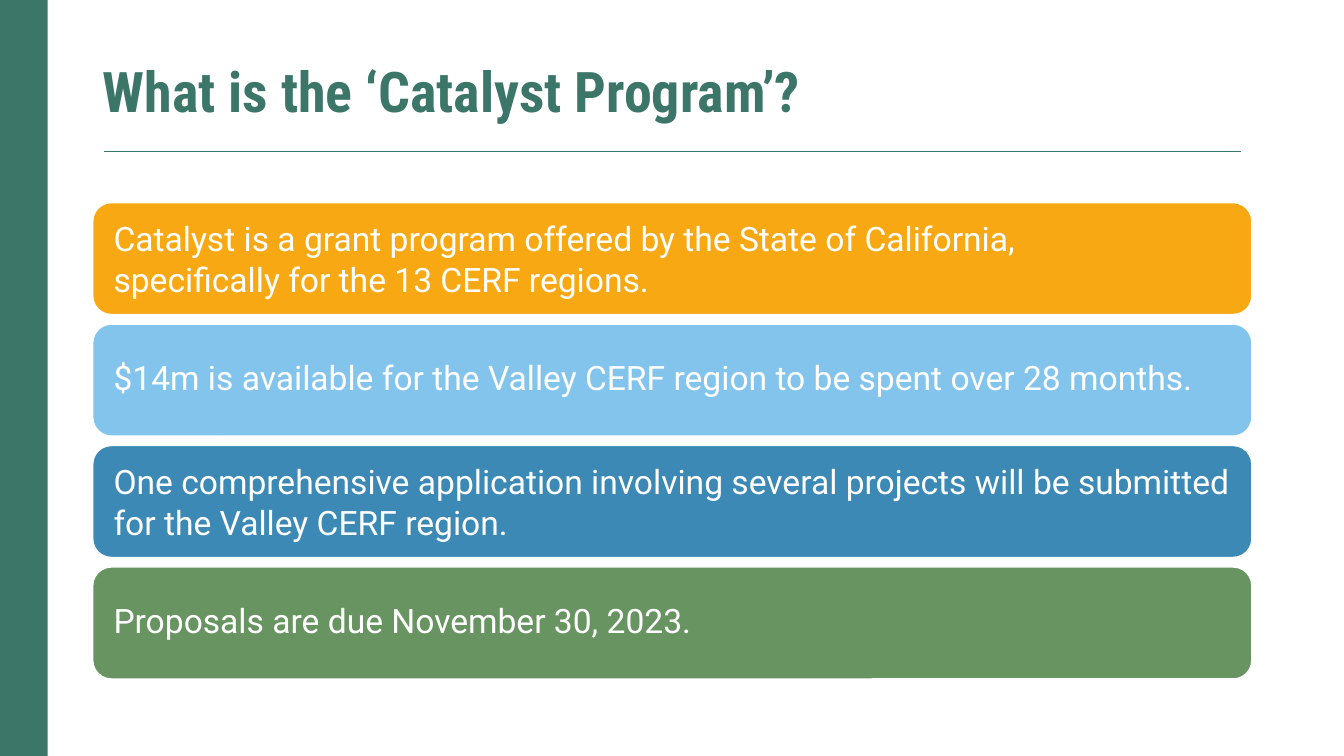
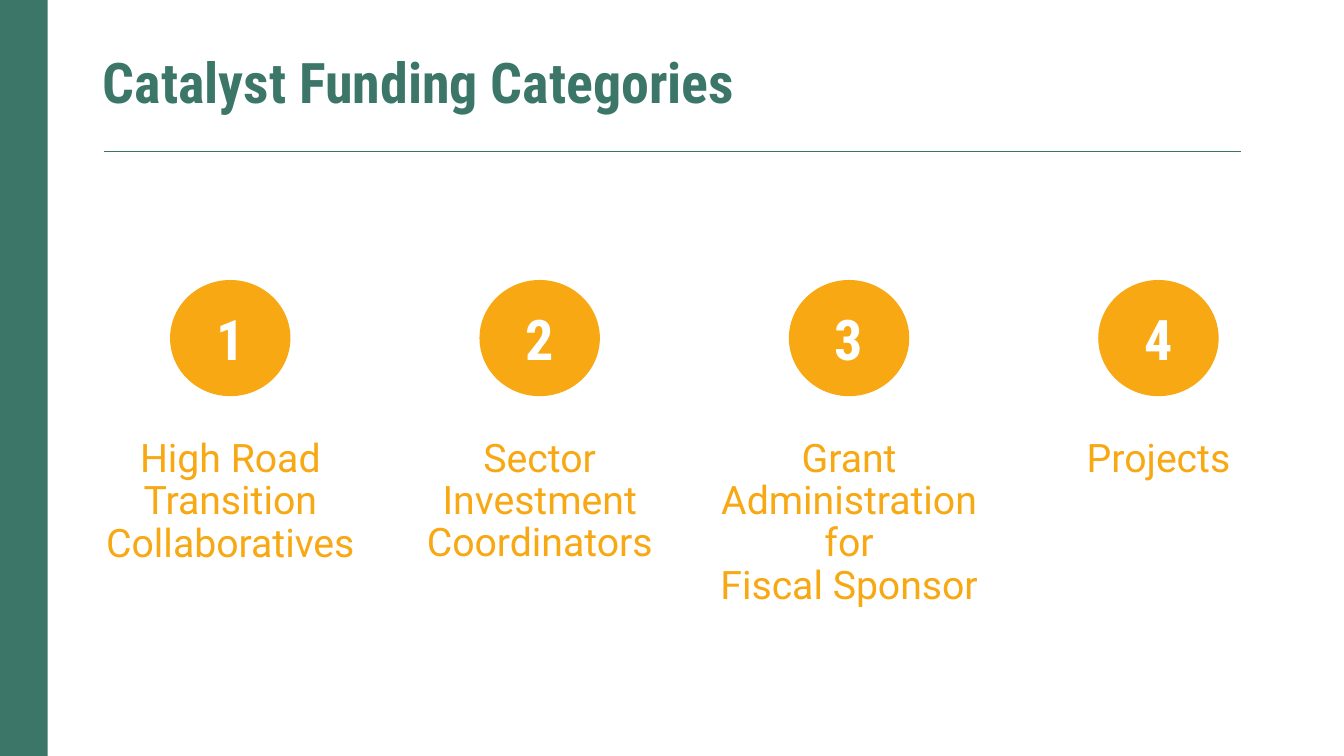
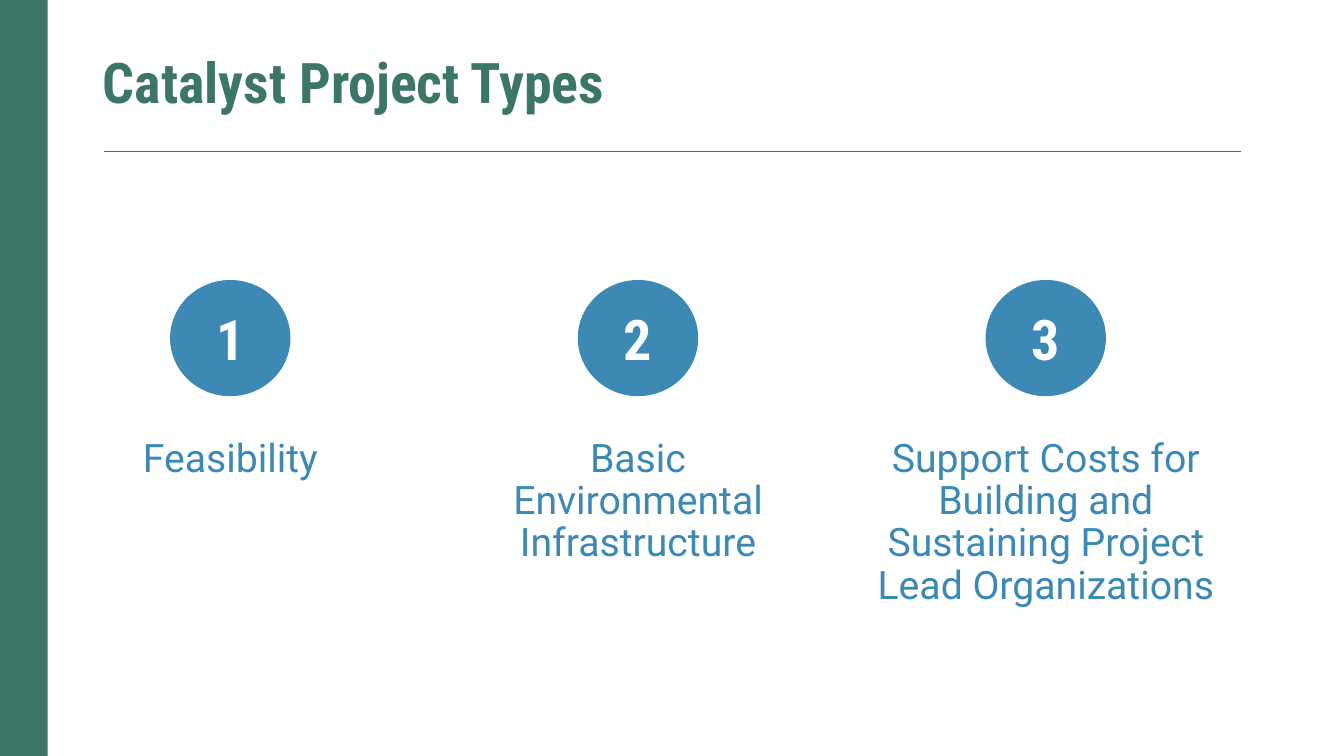
from dataclasses import dataclass

from lxml.etree import SubElement
from pptx import Presentation
from pptx.dml.color import RGBColor
from pptx.enum.shapes import MSO_CONNECTOR, MSO_SHAPE
from pptx.enum.text import MSO_ANCHOR, MSO_AUTO_SIZE, PP_ALIGN
from pptx.oxml.ns import qn
from pptx.shapes.autoshape import Shape
from pptx.slide import Slide
from pptx.text.text import TextFrame
from pptx.util import Pt

# Shared look
HUES = {
    "pine": "3B7669",
    "gold": "F7A812",
    "sky": "83C4EC",
    "blue": "3B89B4",
    "leaf": "689461",
    "white": "FFFFFF",
}
PLAIN, BOLD = "Roboto", "Roboto Condensed"
WIDE, HIGH = 960, 540
LEFT, SPAN = 66.24, 828

# Stacked bars
BAR_TOP, BAR_HIGH, BAR_STEP = 144.75, 80, 86.75

# Numbered columns
FIRST_MID = 164.5
DISC_TOP, DISC_WIDE, DISC_HIGH = 200, 86, 83
NOTE_TOP = 309.6


@dataclass
class Box:
    left: float
    top: float
    width: float
    height: float


@dataclass
class Style:
    font: str
    size: float
    hue: str
    bold: bool = False
    align: PP_ALIGN = PP_ALIGN.LEFT
    lead: float = 1.0
    before: float = 0


@dataclass
class Bar:
    text: str
    hue: str
    lead: float = 1.0


@dataclass
class Item:
    text: str
    width: float = 205
    height: float = 122


HEAD = Style(BOLD, 40, "pine", True, lead=0.9)
DIGIT = Style(BOLD, 40, "white", True, PP_ALIGN.CENTER)


def paint(hue: str) -> RGBColor:
    return RGBColor.from_string(HUES[hue])


def place(shape: Shape, box: Box) -> None:
    shape.left, shape.top = Pt(box.left), Pt(box.top)
    shape.width, shape.height = Pt(box.width), Pt(box.height)


def write(frame: TextFrame, text: str, style: Style,
          anchor: MSO_ANCHOR = MSO_ANCHOR.MIDDLE) -> None:
    frame.word_wrap = True
    frame.auto_size = MSO_AUTO_SIZE.NONE
    frame.vertical_anchor = anchor
    para = frame.paragraphs[0]
    para.alignment = style.align
    para.line_spacing = style.lead
    para.space_before = Pt(style.before)
    for count, line in enumerate(text.split("\n")):
        if count:
            para.add_line_break()
        run = para.add_run()
        run.text = line
        run.font.name, run.font.size = style.font, Pt(style.size)
        run.font.bold = style.bold
        run.font.color.rgb = paint(style.hue)


def clear_list(frame: TextFrame) -> None:
    props = frame.paragraphs[0]._p.get_or_add_pPr()
    props.set("marL", "0")
    props.set("indent", "0")
    SubElement(props, qn("a:buNone"))


def add_form(slide: Slide, kind: MSO_SHAPE, box: Box, hue: str) -> Shape:
    shape = slide.shapes.add_shape(kind, 0, 0, 0, 0)
    place(shape, box)
    shape.shadow.inherit = False
    shape.fill.solid()
    shape.fill.fore_color.rgb = paint(hue)
    shape.line.fill.background()
    return shape


def start(layout: int, title: str, top: float) -> Slide:
    slide = deck.slides.add_slide(deck.slide_layouts[layout])
    head = slide.shapes.title
    place(head, Box(LEFT, top, SPAN, 104.4))
    write(head.text_frame, title, HEAD)
    # Side band and title rule
    add_form(slide, MSO_SHAPE.RECTANGLE, Box(0, 0, 34, HIGH), "pine")
    rule = slide.shapes.add_connector(
        MSO_CONNECTOR.STRAIGHT, Pt(74.25), Pt(108), Pt(886.5), Pt(108))
    rule.line.color.rgb = paint("pine")
    rule.line.width = Pt(0.5)
    SubElement(rule._element.spPr, qn("a:effectLst"))
    return slide


def add_bars(slide: Slide, bars: list[Bar]) -> None:
    for row, bar in enumerate(bars):
        box = Box(LEFT, BAR_TOP + row * BAR_STEP, SPAN, BAR_HIGH)
        shape = add_form(slide, MSO_SHAPE.ROUNDED_RECTANGLE, box, bar.hue)
        shape.line.color.rgb = paint("white")
        shape.line.width = Pt(1)
        frame = shape.text_frame
        frame.margin_left = frame.margin_right = Pt(11)
        write(frame, bar.text, Style(PLAIN, 24, "white", lead=bar.lead))


def add_items(slide: Slide, items: list[Item], step: float, hue: str) -> None:
    style = Style(PLAIN, 28, hue, align=PP_ALIGN.CENTER, lead=0.9, before=10)
    for col, item in enumerate(items):
        mid = FIRST_MID + col * step
        # Numbered disc
        box = Box(mid - DISC_WIDE / 2, DISC_TOP, DISC_WIDE, DISC_HIGH)
        disc = add_form(slide, MSO_SHAPE.OVAL, box, hue)
        frame = disc.text_frame
        frame.margin_top = frame.margin_bottom = 0
        write(frame, str(col + 1), DIGIT)
        # Caption; the first one fills the body placeholder
        if col == 0:
            note = slide.placeholders[1]
        else:
            note = slide.shapes.add_textbox(0, 0, 0, 0)
        place(note, Box(mid - item.width / 2, NOTE_TOP,
                        item.width, item.height))
        write(note.text_frame, item.text, style, MSO_ANCHOR.TOP)
        if col == 0:
            clear_list(note.text_frame)


deck = Presentation()
deck.slide_width, deck.slide_height = Pt(WIDE), Pt(HIGH)

# Slide 1: the program
add_bars(start(5, "What is the ‘Catalyst Program’?", 15), [
    Bar("Catalyst is a grant program offered by the State of California,\n"
        "specifically for the 13 CERF regions.", "gold"),
    Bar("$14m is available for the Valley CERF region to be spent "
        "over 28 months.", "sky", 0.9),
    Bar("One comprehensive application involving several projects will be "
        "submitted for the Valley CERF region.", "blue"),
    Bar("Proposals are due November 30, 2023.", "leaf", 0.9),
])

# Slide 2: funding
add_items(start(1, "Catalyst Funding Categories", 8.75), [
    Item("High Road Transition Collaboratives"),
    Item("Sector Investment Coordinators", height=104),
    Item("Grant\nAdministration\nfor\nFiscal Sponsor", 280, 230),
    Item("Projects", 142, 55),
], 221, "gold")

# Slide 3: project types
add_items(start(1, "Catalyst Project Types", 8.75), [
    Item("Feasibility"),
    Item("Basic Environmental Infrastructure", height=104),
    Item("Support Costs for Building and Sustaining Project "
         "Lead Organizations", 280, 230),
], 291.25, "blue")

deck.save("out.pptx")
